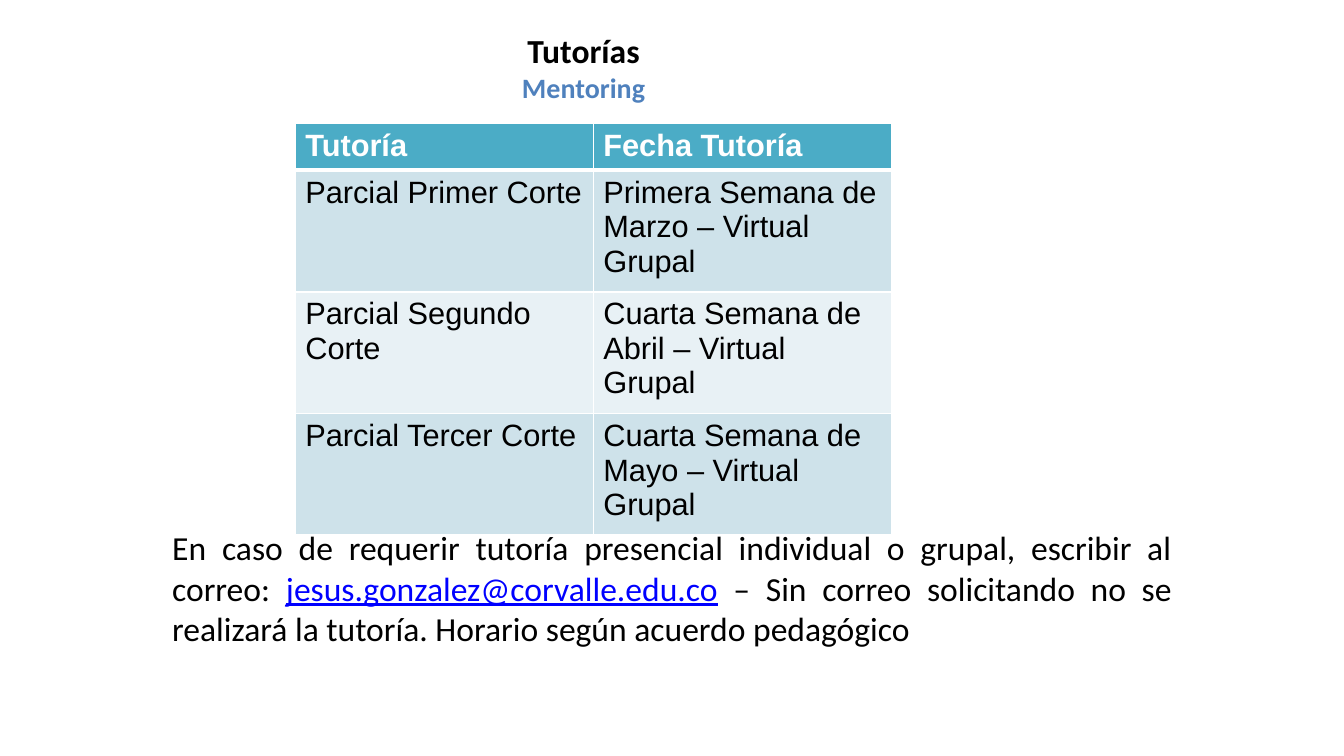
"""Builds the tutoring schedule slide."""
from lxml import etree
from pptx import Presentation
from pptx import util as u
from pptx.dml import color
from pptx.enum import text
from pptx.oxml import ns

COLORS = {
    "black": "000000", "white": "FFFFFF", "blue": "4F81BD", "link": "0000FF",
    "header": "4BACC6", "band_dark": "CEE2EA", "band_light": "E8F1F5",
}
SCHEDULE = [
    ("Tutoría", "Fecha Tutoría"),
    ("Parcial Primer Corte", "Primera Semana de Marzo – Virtual Grupal"),
    ("Parcial Segundo Corte", "Cuarta Semana de Abril – Virtual Grupal"),
    ("Parcial Tercer Corte", "Cuarta Semana de Mayo – Virtual Grupal"),
]
ROW_HEIGHTS = [33.5, 87, 87, 82]
COLUMN_WIDTH = 213


class SlideBuilder:
    def __init__(self, slide):
        self.slide = slide
        self.text_font = "Calibri"
        self.table_font = "Arial"

    def style(self, font, name, size, color_name, bold=False):
        font.name = name
        font.size = u.Pt(size)
        font.bold = bold
        font.color.rgb = color.RGBColor.from_string(COLORS[color_name])

    def text_box(self, left, top, width, height):
        frame = self.slide.shapes.add_textbox(
            u.Pt(left), u.Pt(top), u.Pt(width), u.Pt(height)).text_frame
        frame.word_wrap = True
        return frame

    def heading(self, left, top, width, height, lines):
        frame = self.text_box(left, top, width, height)
        for index, (line, size, color_name) in enumerate(lines):
            paragraph = frame.add_paragraph() if index else frame.paragraphs[0]
            paragraph.text = line
            paragraph.alignment = text.PP_ALIGN.CENTER
            self.style(paragraph.font, self.text_font, size, color_name, True)

    def note(self, left, top, width, height, size, parts):
        paragraph = self.text_box(left, top, width, height).paragraphs[0]
        paragraph.alignment = text.PP_ALIGN.JUSTIFY
        for content, color_name, underlined in parts:
            run = paragraph.add_run()
            run.text = content
            self.style(run.font, self.text_font, size, color_name)
            run.font.underline = underlined

    def borders(self, cell, widths):
        properties = cell._tc.get_or_add_tcPr()
        for index, (side, width) in enumerate(widths.items()):
            line = etree.Element(ns.qn(f"a:ln{side}"), w=str(u.Pt(width)))
            fill = etree.SubElement(line, ns.qn("a:solidFill"))
            etree.SubElement(fill, ns.qn("a:srgbClr"), val=COLORS["white"])
            properties.insert(index, line)

    def table(self, left, top, column_width, row_heights, rows, size):
        columns = len(rows[0])
        table = self.slide.shapes.add_table(
            len(rows), columns, u.Pt(left), u.Pt(top),
            u.Pt(column_width * columns), u.Pt(sum(row_heights))).table
        for column in table.columns:
            column.width = u.Pt(column_width)
        for row_index, row in enumerate(rows):
            table.rows[row_index].height = u.Pt(row_heights[row_index])
            is_header = row_index == 0
            band = "band_dark" if row_index % 2 else "band_light"
            fill_name = "header" if is_header else band
            for column_index, content in enumerate(row):
                cell = table.cell(row_index, column_index)
                cell.text = content
                cell.fill.solid()
                cell.fill.fore_color.rgb = color.RGBColor.from_string(COLORS[fill_name])
                self.style(cell.text_frame.paragraphs[0].font, self.table_font, size,
                           "white" if is_header else "black", is_header)
                self.borders(cell, {"L": 1, "R": 1, "T": 3 if row_index == 1 else 1,
                                    "B": 3 if is_header else 1})


def main():
    presentation = Presentation()
    presentation.slide_width = u.Pt(960.5)
    presentation.slide_height = u.Pt(540)
    builder = SlideBuilder(presentation.slides.add_slide(presentation.slide_layouts[6]))
    builder.heading(254, 18, 326, 60.5, [("Tutorías", 24, "black"), ("Mentoring", 20, "blue")])
    builder.table(211, 88, COLUMN_WIDTH, ROW_HEIGHTS, SCHEDULE, 22)
    builder.note(116, 373, 728.6, 94.3, 24, [
        ("En caso de requerir tutoría presencial individual o grupal, escribir al correo: ",
         "black", False),
        ("jesus.gonzalez@corvalle.edu.co", "link", True),
        (" – Sin correo solicitando no se realizará la tutoría. Horario según acuerdo pedagógico",
         "black", False),
    ])
    presentation.save("out.pptx")


if __name__ == "__main__":
    main()
